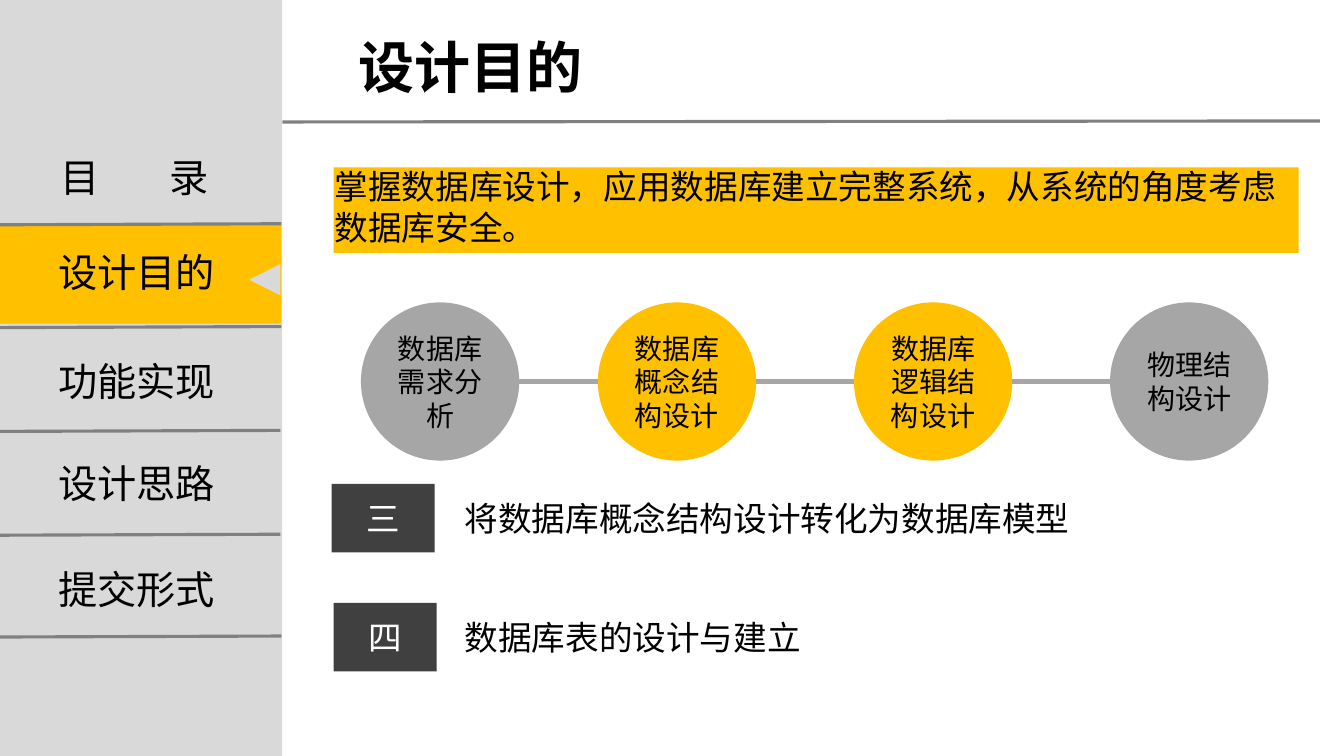
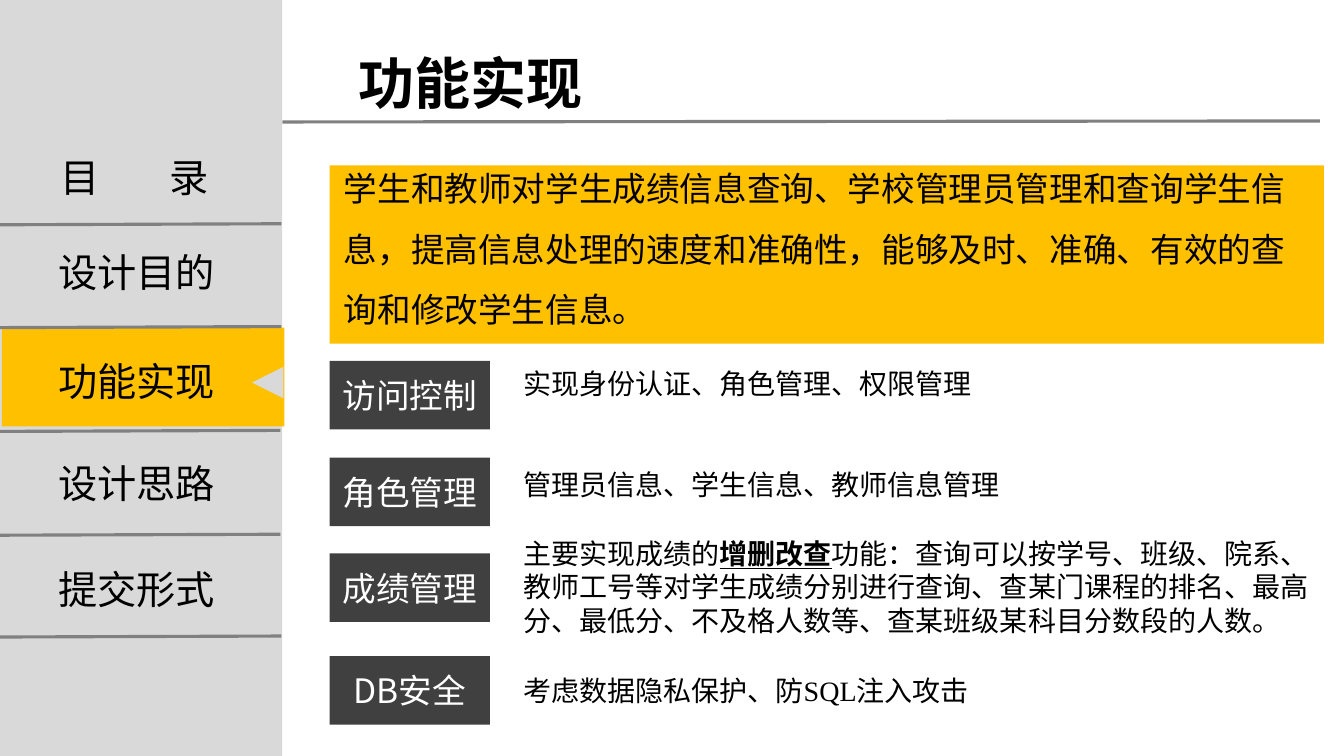
from lxml import etree
from pptx import Presentation
from pptx import util as u
from pptx.dml.color import RGBColor
from pptx.enum import shapes, text
from pptx.oxml.ns import qn

GOLD, PANEL, RULE, GREY, DARK = "FFC000", "D9D9D9", "808080", "A6A6A6", "404040"
BLACK, WHITE = "000000", "FFFFFF"
SANS, ARIAL, SERIF = "Noto Sans CJK SC", "Arial", "Times New Roman"

# Sidebar entries with the top of each label
CHAPTERS = [("设计目的", 2.41), ("功能实现", 3.5), ("设计思路", 4.51), ("提交形式", 5.56)]
# Left end, right end and left-hand height of each sidebar rule
SIDEBAR_RULES = [(-0.01, 2.79, 2.23), (0, 2.79, 3.25), (-0.02, 2.78, 4.28),
                 (-0.05, 2.78, 5.31), (-0.04, 2.79, 6.32)]


def rgb(value):
    return RGBColor.from_string(value)


class Deck:
    """Holds the shared style and the slide being built."""

    def __init__(self):
        self.prs = Presentation()
        self.prs.slide_width = u.Inches(13.33)
        self.prs.slide_height = u.Inches(7.5)
        self.slide = None

    def place(self, target, left, top, width, height):
        target.left, target.top = u.Inches(left), u.Inches(top)
        target.width, target.height = u.Inches(width), u.Inches(height)

    def set_text(self, target, runs, size, font, color=BLACK, bold=False,
                 align=text.PP_ALIGN.LEFT, anchor=text.MSO_ANCHOR.TOP, spacing=1.0):
        """Set a string, or (string, emphasised) pairs, as one paragraph."""
        frame = target.text_frame
        frame.word_wrap = True
        frame.auto_size = text.MSO_AUTO_SIZE.NONE
        frame.vertical_anchor = anchor
        paragraph = frame.paragraphs[0]
        paragraph.alignment = align
        paragraph.line_spacing = spacing
        paragraph.space_before = u.Pt(0)
        for words, strong in [(runs, False)] if isinstance(runs, str) else runs:
            run = paragraph.add_run()
            run.text = words
            run.font.size, run.font.name = u.Pt(size), font
            run.font.color.rgb = rgb(color)
            run.font.bold = bold or strong
            run.font.underline = strong
            east_asian = etree.SubElement(run.font._element, qn("a:ea"))
            east_asian.set("typeface", SANS)
        return paragraph

    def shape(self, kind, left, top, width, height, fill):
        figure = self.slide.shapes.add_shape(
            kind, *map(u.Inches, (left, top, width, height)))
        figure.shadow.inherit = False
        figure.fill.solid()
        figure.fill.fore_color.rgb = rgb(fill)
        figure.line.fill.background()
        return figure

    def rect(self, left, top, width, height, fill):
        return self.shape(shapes.MSO_SHAPE.RECTANGLE, left, top, width, height, fill)

    def label(self, left, top, width, height, runs, size, font):
        box = self.slide.shapes.add_textbox(
            *map(u.Inches, (left, top, width, height)))
        return self.set_text(box, runs, size, font)

    def rule(self, x1, y1, x2, y2, color=RULE, weight=2.25):
        line = self.slide.shapes.add_connector(
            shapes.MSO_CONNECTOR.STRAIGHT, *map(u.Inches, (x1, y1, x2, y2)))
        line.line.color.rgb = rgb(color)
        line.line.width = u.Pt(weight)
        etree.SubElement(line._element.spPr, qn("a:effectLst"))

    def chapter(self, current, title_top, highlight):
        """Start a slide with its title, title rule and sidebar."""
        self.slide = self.prs.slides.add_slide(self.prs.slide_layouts[1])
        title = self.slide.shapes.title
        self.place(title, 3.46, title_top, 8.23, 0.77)
        self.set_text(title, CHAPTERS[current][0], 40, ARIAL, bold=True)
        self.rule(2.8, 1.21, 13.09, 1.2)

        self.rect(0, 0, 2.8, 7.5, PANEL)
        left, top = highlight
        self.rect(left, top, 2.8, 0.98, GOLD)
        notch = self.shape(shapes.MSO_SHAPE.ISOSCELES_TRIANGLE,
                           left + 2.48, top + 0.39, 0.31, 0.31, PANEL)
        notch.rotation = 270
        for start, end, height in SIDEBAR_RULES:
            self.rule(start, height, end, height - 0.01)

        heading = self.label(0.5, 1.47, 2.17, 0.57, "目\t录", 28, ARIAL)
        tabs = etree.SubElement(heading._p.get_or_add_pPr(), qn("a:tabLst"))
        etree.SubElement(tabs, qn("a:tab"), pos=str(u.Inches(1.08)), algn="l")
        for name, label_top in CHAPTERS:
            self.label(0.48, label_top, 2.17, 0.57, name, 28, ARIAL)

    def summary(self, band, area, words, spacing=1.0):
        """Gold band with the body placeholder in front of it."""
        self.rect(*band, GOLD)
        body = self.slide.placeholders[1]
        self.slide.shapes._spTree.append(body._element)
        self.place(body, *area)
        paragraph = self.set_text(body, words, 24, SANS, spacing=spacing)
        properties = paragraph._p.get_or_add_pPr()
        properties.set("marL", "0")
        properties.set("indent", "0")
        etree.SubElement(properties, qn("a:buNone"))

    def tag(self, left, top, width, words):
        self.set_text(self.rect(left, top, width, 0.68, DARK), words, 24, SANS, WHITE,
                      align=text.PP_ALIGN.CENTER, anchor=text.MSO_ANCHOR.MIDDLE)

    def step(self, left, top, size, words, fill):
        circle = self.shape(shapes.MSO_SHAPE.OVAL, left, top, size, size, fill)
        self.set_text(circle, words, 20, SANS, align=text.PP_ALIGN.CENTER,
                      anchor=text.MSO_ANCHOR.MIDDLE)


def purpose_slide(deck):
    deck.chapter(0, 0.27, (-0.01, 2.23))
    deck.summary((3.31, 1.66, 9.57, 0.85), (3.22, 1.6, 9.67, 0.91),
                 "掌握数据库设计，应用数据库建立完整系统，从系统的角度考虑数据库安全。")

    # Chain of design steps
    steps = [(3.58, "数据库需求分析", GREY), (5.93, "数据库概念结构设计", GOLD),
             (8.47, "数据库逻辑结构设计", GOLD), (11.01, "物理结构设计", GREY)]
    top, size = 3, 1.57
    for left, words, fill in steps:
        deck.step(left, top, size, words, fill)
    middle = top + size / 2
    for (left, *_), (following, *_) in zip(steps, steps[1:]):
        deck.rule(left + size, middle, following, middle, GREY, 3.5)

    # Numbered goals
    for left, top, number, goal in [
            (3.29, 4.8, "三", "将数据库概念结构设计转化为数据库模型"),
            (3.31, 5.98, "四", "数据库表的设计与建立")]:
        deck.tag(left, top, 1.02, number)
        deck.label(4.51, top + 0.09, 8.45, 0.5, goal, 24, SANS)


def functions_slide(deck):
    deck.chapter(1, 0.43, (0.02, 3.25))
    deck.summary((3.27, 1.64, 9.86, 1.77), (3.31, 1.42, 9.78, 1.92),
                 "学生和教师对学生成绩信息查询、学校管理员管理和查询学生信息，"
                 "提高信息处理的速度和准确性，能够及时、准确、有效的查询和修改学生信息。",
                 spacing=1.5)

    # Functions: tag top, tag, description top, height and text
    grades = [("主要实现成绩的", False), ("增删改查", True),
              ("功能：查询可以按学号、班级、院系、教师工号等对学生成绩分别进行查询、"
               "查某门课程的排名、最高分、最低分、不及格人数等、"
               "查某班级某科目分数段的人数。", False)]
    for tag_top, name, top, height, description in [
            (3.58, "访问控制", 3.59, 0.44, "实现身份认证、角色管理、权限管理"),
            (4.54, "角色管理", 4.59, 0.44, "管理员信息、学生信息、教师信息管理"),
            (5.49, "成绩管理", 5.27, 1.11, grades),
            (6.51, "DB安全", 6.63, 0.44, "考虑数据隐私保护、防SQL注入攻击")]:
        deck.tag(3.27, tag_top, 1.59, name)
        deck.label(5.09, top, 8, height, description, 20, SERIF)


def main():
    deck = Deck()
    purpose_slide(deck)
    functions_slide(deck)
    deck.prs.save("out.pptx")


if __name__ == "__main__":
    main()
